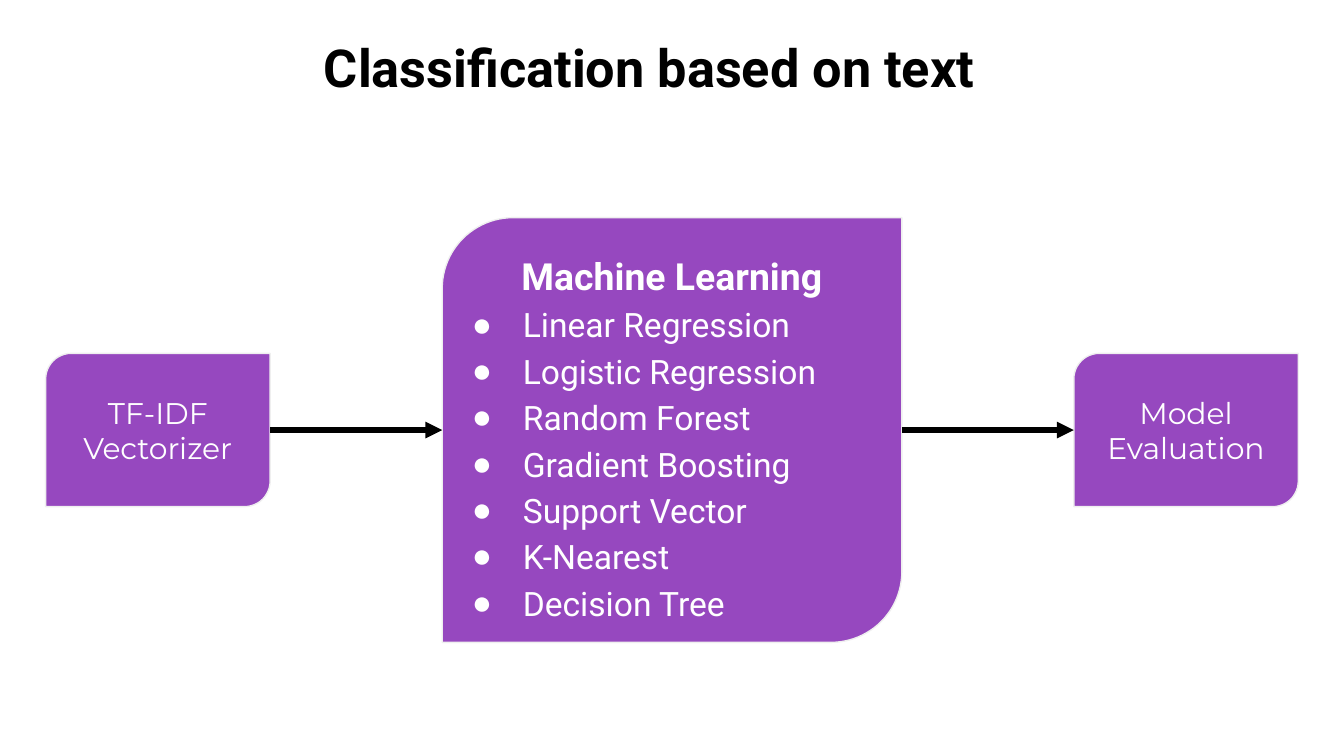
import dataclasses

import lxml.etree
import pptx
import pptx.dml.color
import pptx.enum.shapes
import pptx.enum.text
import pptx.oxml.ns
import pptx.util

Inches = pptx.util.Inches
Align = pptx.enum.text.PP_ALIGN
Anchor = pptx.enum.text.MSO_ANCHOR


@dataclasses.dataclass(frozen=True)
class Theme:
    purple: str = "9648BF"
    outline: str = "EFEFEF"
    white: str = "FFFFFF"
    black: str = "000000"
    main_font: str = "Roboto"
    step_font: str = "Montserrat"
    title_size: int = 28
    heading_size: int = 20
    list_size: int = 18
    step_size: int = 16


@dataclasses.dataclass(frozen=True)
class Box:
    left: float
    top: float
    width: float
    height: float
    label: str = ""

    @property
    def right(self) -> float:
        return self.left + self.width


THEME = Theme()
SLIDE_WIDTH = 10
SLIDE_HEIGHT = SLIDE_WIDTH * 9 / 16
TITLE = Box(0.61, 0.16, 8.44, 0.63, "Classification based on text")
VECTORIZER = Box(0.34, 2.63, 1.67, 1.14, "TF-IDF Vectorizer")
LEARNING = Box(3.29, 1.62, 3.42, 3.16)
EVALUATION = Box(7.99, 2.63, 1.67, 1.14, "Model Evaluation")
STEPS = (VECTORIZER, LEARNING, EVALUATION)
ARROW_Y = 3.2
MODELS = (
    "Linear Regression",
    "Logistic Regression",
    "Random Forest",
    "Gradient Boosting",
    "Support Vector",
    "K-Nearest",
    "Decision Tree",
)


def rgb(color: str) -> pptx.dml.color.RGBColor:
    return pptx.dml.color.RGBColor.from_string(color)


def add_child(parent, tag: str, **attributes: str):
    return lxml.etree.SubElement(parent, pptx.oxml.ns.qn(tag), attributes)


def write(paragraph, text: str, *, size: int, color: str = THEME.white,
          font: str = THEME.main_font, bold: bool = False,
          align=Align.CENTER, spacing: float = 1.0) -> None:
    paragraph.alignment = align
    paragraph.line_spacing = spacing
    paragraph.space_before = pptx.util.Pt(0)
    run = paragraph.add_run()
    run.text = text
    run.font.name = font
    run.font.size = pptx.util.Pt(size)
    run.font.bold = bold
    run.font.color.rgb = rgb(color)


def set_bullet(paragraph, bullet: str = "") -> None:
    properties = paragraph._p.get_or_add_pPr()
    properties.set("marL", str(Inches(0.5 if bullet else 0)))
    properties.set("indent", str(Inches(-0.38 if bullet else 0)))
    if bullet:
        color = add_child(properties, "a:buClr")
        add_child(color, "a:srgbClr", val=THEME.white)
        add_child(properties, "a:buChar", char=bullet)
    else:
        add_child(properties, "a:buNone")


def prepare_frame(shape, anchor=Anchor.TOP):
    frame = shape.text_frame
    frame.word_wrap = True
    frame.auto_size = pptx.enum.text.MSO_AUTO_SIZE.NONE
    frame.vertical_anchor = anchor
    frame.margin_left = frame.margin_right = Inches(0.1)
    frame.margin_top = frame.margin_bottom = Inches(0.1)
    return frame


def place(shape, box: Box) -> None:
    shape.left, shape.top = Inches(box.left), Inches(box.top)
    shape.width, shape.height = Inches(box.width), Inches(box.height)


def add_step(slide, box: Box):
    shape = slide.shapes.add_shape(
        pptx.enum.shapes.MSO_SHAPE.ROUND_2_DIAG_RECTANGLE,
        Inches(box.left), Inches(box.top), Inches(box.width), Inches(box.height))
    shape.shadow.inherit = False
    shape.fill.solid()
    shape.fill.fore_color.rgb = rgb(THEME.purple)
    shape.line.color.rgb = rgb(THEME.outline)
    shape.line.width = pptx.util.Pt(0.75)
    if box.label:
        frame = prepare_frame(shape, Anchor.MIDDLE)
        write(frame.paragraphs[0], box.label,
              size=THEME.step_size, font=THEME.step_font)
    return shape


def add_arrow(slide, start: Box, end: Box) -> None:
    arrow = slide.shapes.add_connector(
        pptx.enum.shapes.MSO_CONNECTOR.STRAIGHT,
        Inches(start.right), Inches(ARROW_Y), Inches(end.left), Inches(ARROW_Y))
    arrow.line.color.rgb = rgb(THEME.black)
    arrow.line.width = pptx.util.Pt(3)
    add_child(arrow.line._get_or_add_ln(), "a:tailEnd", type="triangle")
    add_child(arrow._element.spPr, "a:effectLst")


def fill_title(title) -> None:
    place(title, TITLE)
    write(prepare_frame(title).paragraphs[0], TITLE.label,
          size=THEME.title_size, color=THEME.black, bold=True)


def fill_models(body) -> None:
    place(body, LEARNING)
    frame = prepare_frame(body)
    heading = frame.paragraphs[0]
    write(heading, "Machine Learning",
          size=THEME.heading_size, bold=True, spacing=1.5)
    set_bullet(heading)
    for model in MODELS:
        paragraph = frame.add_paragraph()
        write(paragraph, model, size=THEME.list_size,
              align=Align.LEFT, spacing=1.15)
        set_bullet(paragraph, "●")


def main() -> None:
    presentation = pptx.Presentation()
    presentation.slide_width = Inches(SLIDE_WIDTH)
    presentation.slide_height = Inches(SLIDE_HEIGHT)
    slide = presentation.slides.add_slide(presentation.slide_layouts[1])
    fill_title(slide.shapes.title)
    body = slide.placeholders[1]
    fill_models(body)
    panels = [add_step(slide, step) for step in STEPS]
    panels[STEPS.index(LEARNING)]._element.addnext(body._element)
    for start, end in zip(STEPS, STEPS[1:]):
        add_arrow(slide, start, end)
    presentation.save("out.pptx")


if __name__ == "__main__":
    main()
